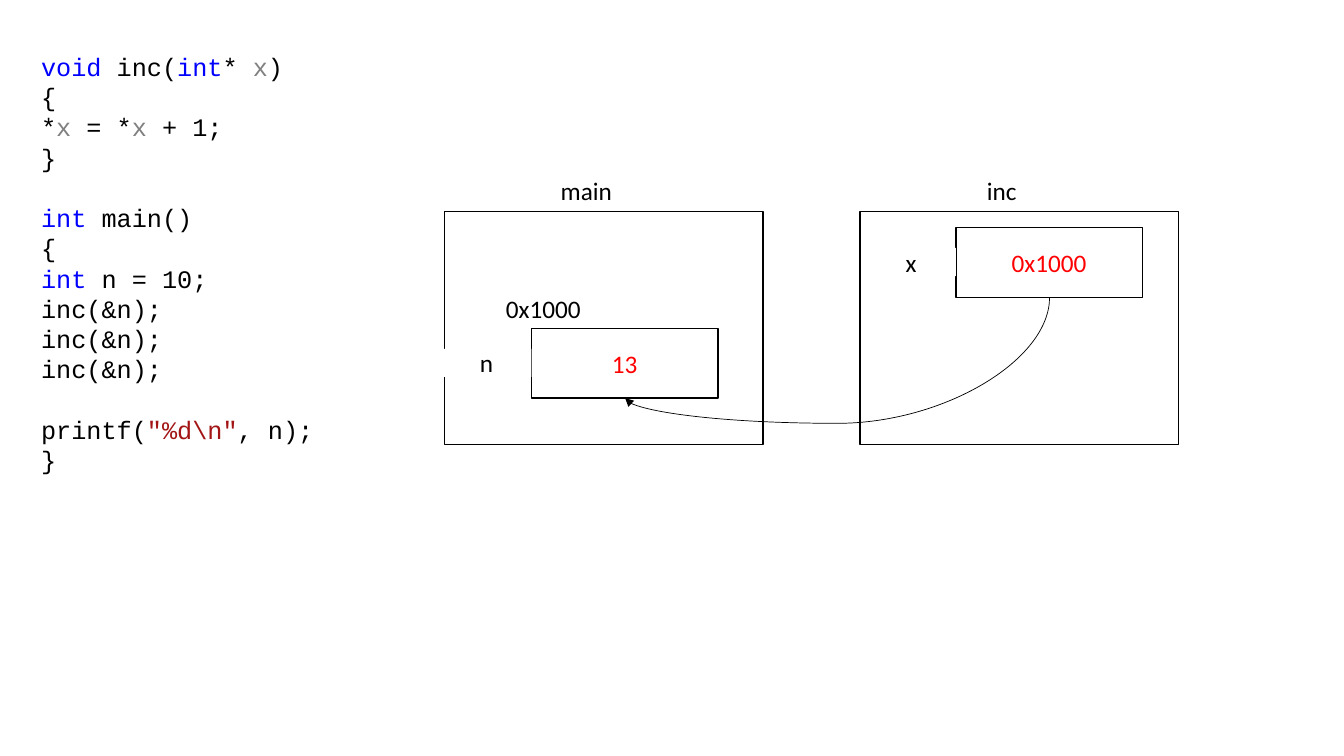
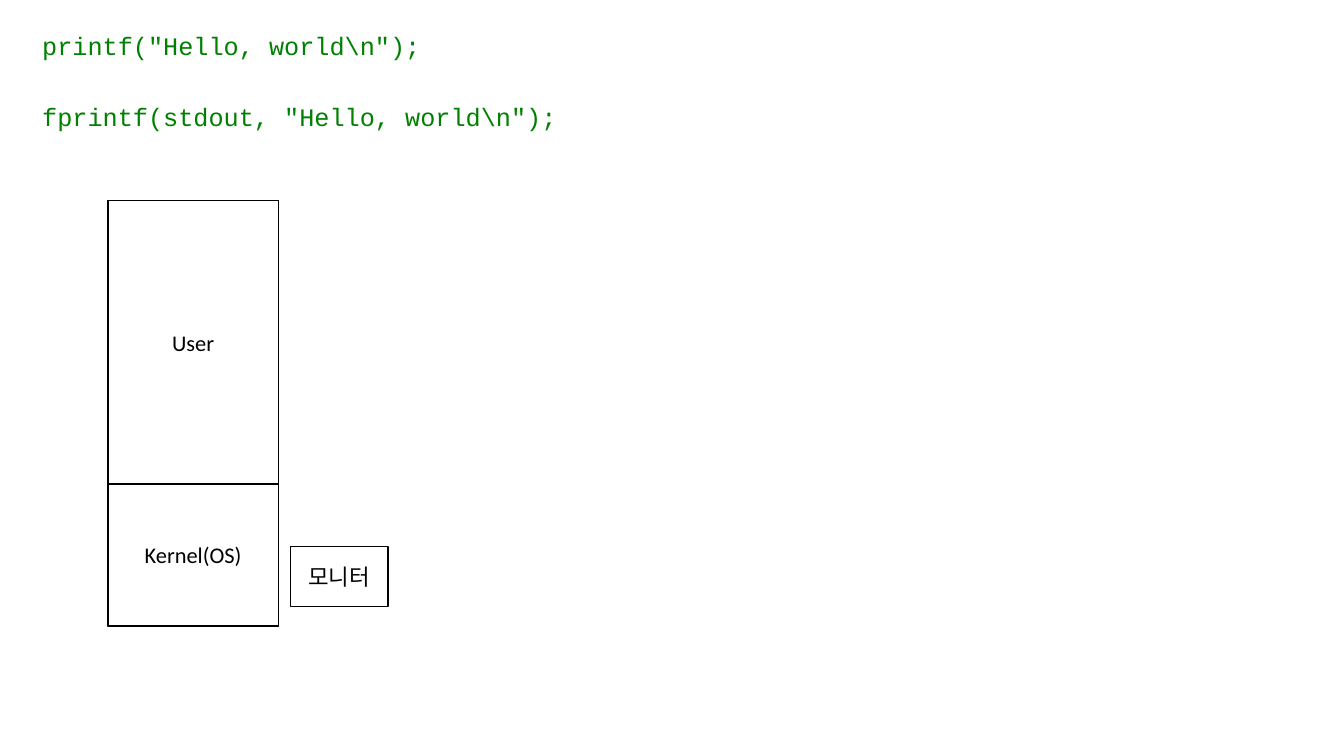
"""Build two slides on C pointers and on standard output."""
from dataclasses import dataclass
from typing import Optional

from lxml import etree
from pptx import Presentation
from pptx.dml.color import RGBColor
from pptx.enum import shapes, text
from pptx.oxml import ns
from pptx.slide import Slide
from pptx.util import Inches, Pt

WHITE = RGBColor(0xFF, 0xFF, 0xFF)
BLACK = RGBColor(0x00, 0x00, 0x00)
RED = RGBColor(0xFF, 0x00, 0x00)
KEYWORD = RGBColor(0x00, 0x00, 0xFF)
PARAMETER = RGBColor(0x80, 0x80, 0x80)
LITERAL = RGBColor(0xA3, 0x15, 0x15)
GREEN = RGBColor(0x00, 0x80, 0x00)

BODY_FONT = "Calibri"
CODE_FONT = "Courier New"
CODE_PITCH = Pt(21.6)


@dataclass(frozen=True)
class Box:
    left: float
    top: float
    width: float
    height: float
    label: str = ""
    color: RGBColor = BLACK
    size: int = 18
    outlined: bool = True


@dataclass(frozen=True)
class Run:
    words: str
    color: RGBColor = BLACK


@dataclass(frozen=True)
class Line:
    runs: tuple[Run, ...]
    gap_above: bool = False


@dataclass(frozen=True)
class Frame:
    left: float
    name: str
    variable: str
    value: str
    cell_left: float
    cell_top: float


def code(*parts: str | Run, gap_above: bool = False) -> Line:
    """Make a code line, with plain strings in black."""
    runs = tuple(Run(part) if isinstance(part, str) else part for part in parts)
    return Line(runs, gap_above)


def add_run(paragraph, run: Run, font: str, size: int) -> None:
    """Append one formatted run."""
    added = paragraph.add_run()
    added.text = run.words
    added.font.name = font
    added.font.size = Pt(size)
    added.font.color.rgb = run.color


def draw_box(slide: Slide, box: Box) -> None:
    """Draw a white rectangle with an optional outline and centred label."""
    drawn = slide.shapes.add_shape(
        shapes.MSO_SHAPE.RECTANGLE,
        Inches(box.left), Inches(box.top), Inches(box.width), Inches(box.height),
    )
    drawn.shadow.inherit = False
    drawn.fill.solid()
    drawn.fill.fore_color.rgb = WHITE
    if box.outlined:
        drawn.line.color.rgb = BLACK
        drawn.line.width = Pt(1)
    else:
        drawn.line.fill.background()
    if box.label:
        drawn.text_frame.vertical_anchor = text.MSO_ANCHOR.MIDDLE
        paragraph = drawn.text_frame.paragraphs[0]
        paragraph.alignment = text.PP_ALIGN.CENTER
        add_run(paragraph, Run(box.label, box.color), BODY_FONT, box.size)


def draw_text(slide: Slide, area: Box, lines: tuple[Line, ...], font: str = CODE_FONT,
              wrap: bool = False, pitch: Optional[Pt] = CODE_PITCH) -> None:
    """Draw left-aligned lines in a text box."""
    frame = slide.shapes.add_textbox(
        Inches(area.left), Inches(area.top), Inches(area.width), Inches(area.height),
    ).text_frame
    frame.word_wrap = wrap
    frame.auto_size = text.MSO_AUTO_SIZE.SHAPE_TO_FIT_TEXT
    for number, line in enumerate(lines):
        paragraph = frame.add_paragraph() if number else frame.paragraphs[0]
        if pitch:
            paragraph.line_spacing = pitch
        if line.gap_above:
            paragraph.space_before = CODE_PITCH
        for run in line.runs:
            add_run(paragraph, run, font, area.size)


def draw_frame(slide: Slide, frame: Frame) -> None:
    """Draw a function's stack frame with its one variable."""
    name_width, name_height = 0.89, 0.28
    draw_box(slide, Box(frame.left, 2.1, 3.16, 2.31))
    draw_box(slide, Box(frame.left + 0.96, 1.75, name_width, name_height,
                        frame.name, outlined=False))
    draw_box(slide, Box(frame.cell_left, frame.cell_top, 1.85, 0.69, frame.value, RED))
    draw_box(slide, Box(frame.cell_left - name_width, frame.cell_top + 0.2,
                        name_width, name_height, frame.variable, outlined=False))


def draw_pointer(slide: Slide, start: tuple[float, float], end: tuple[float, float],
                 bend: float) -> None:
    """Draw a curved arrow that leaves and arrives vertically from below."""
    drop, reach = end[1] - start[1], start[0] - end[0]
    left = (start[0] + end[0] - drop) / 2
    top = (start[1] + end[1] - reach) / 2
    arrow = slide.shapes.add_connector(
        shapes.MSO_CONNECTOR.CURVE,
        Inches(left), Inches(top), Inches(left + drop), Inches(top + reach),
    )
    arrow.line.color.rgb = BLACK
    arrow.line.width = Pt(0.5)
    properties = arrow._element.spPr
    properties.find(ns.qn("a:xfrm")).set("rot", str(90 * 60000))
    adjustments = properties.find(ns.qn("a:prstGeom")).find(ns.qn("a:avLst"))
    etree.SubElement(adjustments, ns.qn("a:gd"), name="adj1",
                     fmla=f"val {round(bend * 100000)}")
    etree.SubElement(properties.find(ns.qn("a:ln")), ns.qn("a:tailEnd"), type="triangle")
    etree.SubElement(properties, ns.qn("a:effectLst"))


def build_pointer_slide(slide: Slide) -> None:
    """Show a pointer argument reaching a variable in main."""
    integer, x = Run("int", KEYWORD), Run("x", PARAMETER)
    listing = (
        code(Run("void ", KEYWORD), "inc(", integer, "* ", x, ")"),
        code("{"),
        code("*", x, " = *", x, " + 1;"),
        code("}"),
        code(integer, " main()", gap_above=True),
        code("{"),
        code(integer, " n = 10;"),
        *(code("inc(&n);"),) * 3,
        code("printf(", Run('"%d\\n"', LITERAL), ", n);", gap_above=True),
        code("}"),
    )
    draw_text(slide, Box(0.31, 0.46, 4.1, 4.34), listing, wrap=True)
    for frame in (
        Frame(4.41, "main", "n", "13", 5.27, 3.26),
        Frame(8.53, "inc", "x", "0x1000", 9.48, 2.26),
    ):
        draw_frame(slide, frame)
    draw_text(slide, Box(4.92, 2.86, 0.95, 0.4), (code("0x1000"),), BODY_FONT, pitch=None)
    draw_pointer(slide, (10.41, 2.95), (6.2, 3.95), 1.25)


def build_output_slide(slide: Slide) -> None:
    """Show the two print calls beside user and kernel memory."""
    for top, width, call in (
        (0.25, 3.97, 'printf("Hello, world\\n");'),
        (0.96, 5.33, 'fprintf(stdout, "Hello, world\\n");'),
    ):
        draw_text(slide, Box(0.32, top, width, 0.4), (code(Run(call, GREEN)),))
    for box in (
        Box(1.07, 1.99, 1.69, 4.22),
        Box(1.07, 1.99, 1.69, 2.81, "User", size=16),
        Box(1.07, 4.8, 1.69, 1.41, "Kernel(OS)", size=16),
        Box(2.88, 5.42, 0.97, 0.6, "모니터", size=16),
    ):
        draw_box(slide, box)


def main() -> None:
    """Build and save the presentation."""
    deck = Presentation()
    deck.slide_width, deck.slide_height = Inches(13.33), Inches(7.5)
    blank = deck.slide_layouts[6]
    for build in (build_pointer_slide, build_output_slide):
        build(deck.slides.add_slide(blank))
    deck.save("out.pptx")


main()
